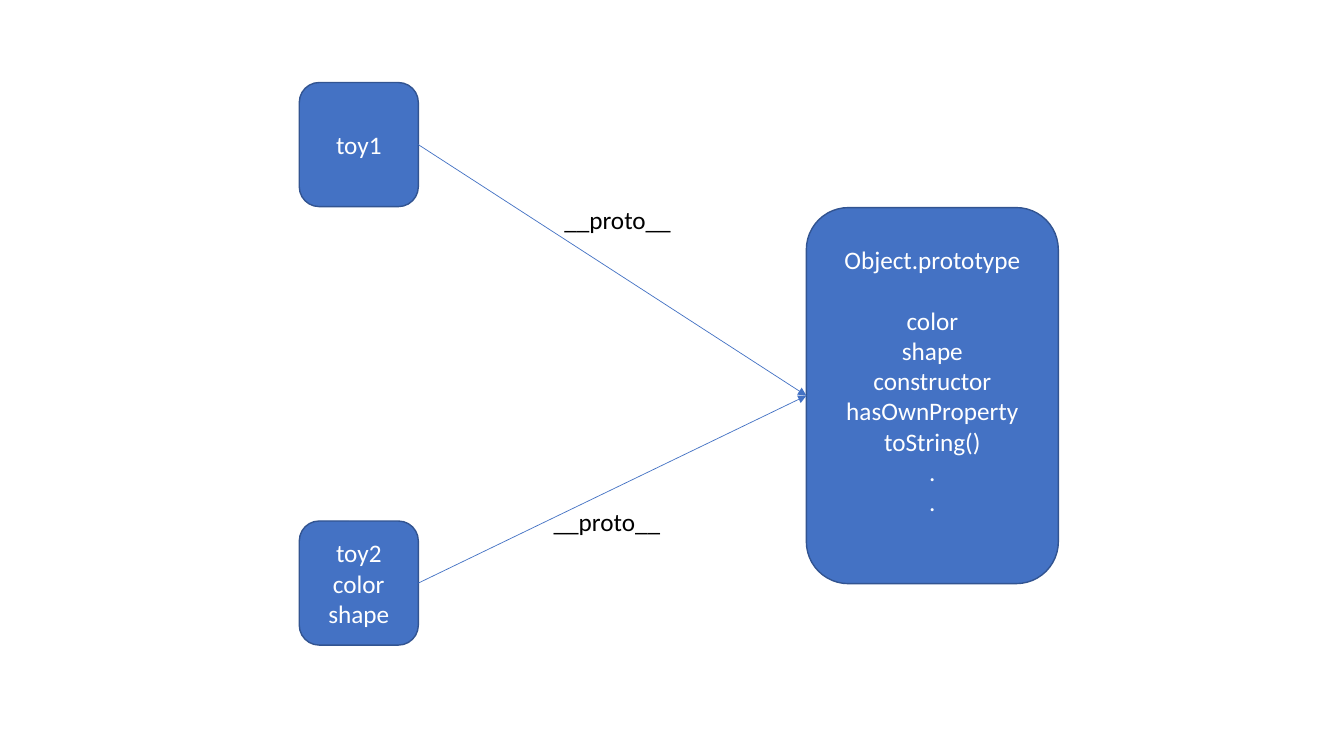
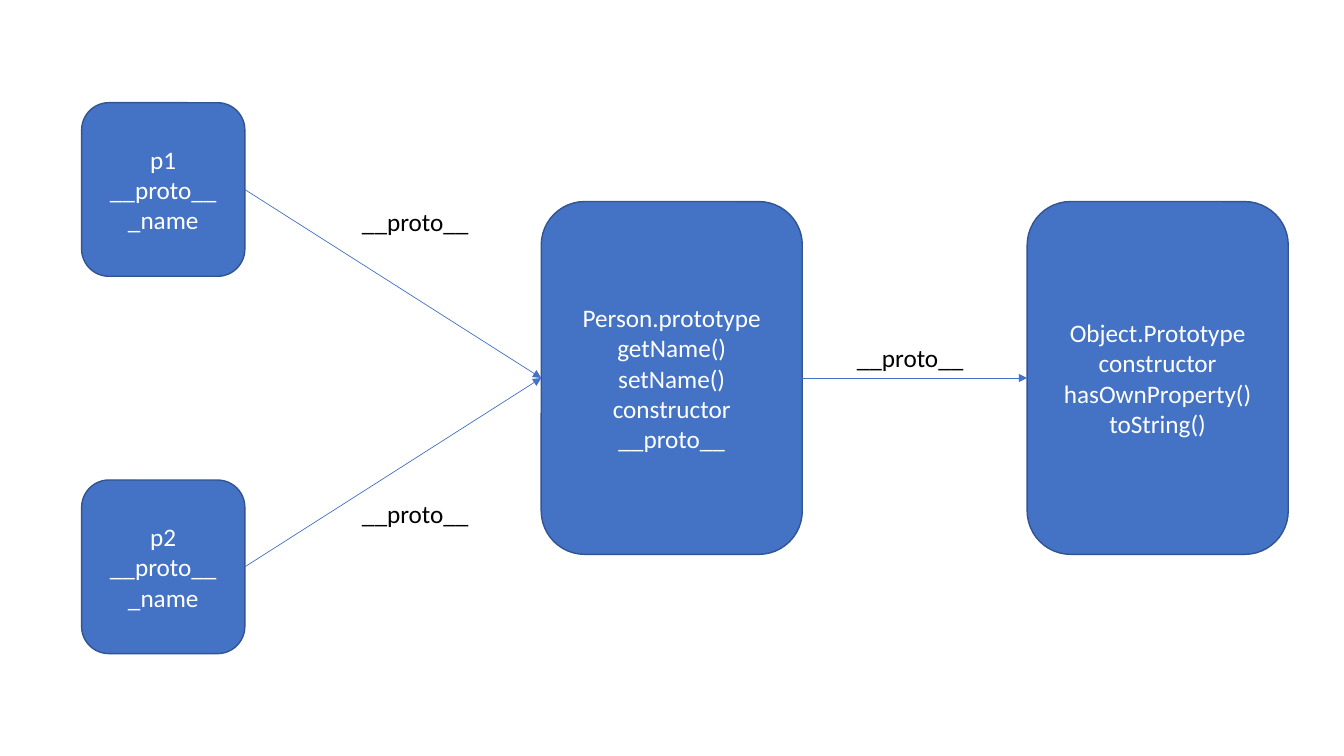
from lxml.etree import SubElement
from pptx import Presentation
from pptx.dml.color import RGBColor
from pptx.enum.shapes import MSO_CONNECTOR, MSO_SHAPE
from pptx.enum.text import MSO_ANCHOR, MSO_AUTO_SIZE, PP_ALIGN
from pptx.oxml.ns import qn
from pptx.util import Pt

THEME = {
    "fill": RGBColor(0x44, 0x72, 0xC4),
    "edge": RGBColor(0x32, 0x54, 0x91),
    "light": RGBColor(0xFF, 0xFF, 0xFF),
    "dark": RGBColor(0, 0, 0),
    "font": {"name": "Calibri", "size": Pt(18)},
    "edge_width": Pt(1),
    "arrow_width": Pt(0.5),
}
LINE_H = 22
LABEL_H = 28.8
RIGHT, LEFT = 3, 1

SLIDES = [
    {
        "boxes": {
            "object": (576, 148.3, 180, 268.6, ["Object.prototype", "color", "shape", "constructor",
                                                "hasOwnProperty", "toString()", ".", "."]),
            "toy1": (213.8, 59, 85, 88.6, ["toy1"]),
            "toy2": (213.8, 372.2, 85, 88.6, ["toy2", "color", "shape"]),
        },
        "spaced": "object",
        "arrows": [("toy1", "object"), ("toy2", "object")],
        "labels": [(396, 142.6), (388.4, 357.8)],
        "label_width": 91.4,
        "label_frame": {"word_wrap": False},
        "label_align": PP_ALIGN.LEFT,
    },
    {
        "boxes": {
            "person": (386.6, 144, 186.5, 252, ["Person.prototype", "getName()", "setName()",
                                                "constructor", "__proto__"]),
            "object": (733.7, 144, 186.5, 252, ["Object.Prototype", "constructor",
                                                "hasOwnProperty()", "toString()"]),
            "p1": (58.3, 73.4, 116.6, 124, ["p1", "__proto__", "_name"]),
            "p2": (58.3, 342.9, 116.6, 124, ["p2", "__proto__", "_name"]),
        },
        "spaced": None,
        "arrows": [("person", "object"), ("p1", "person"), ("p2", "person")],
        "labels": [(238.3, 144), (591.8, 241.2), (238.3, 352.1)],
        "label_width": 116.6,
        "label_frame": {"word_wrap": True},
        "label_align": PP_ALIGN.CENTER,
    },
]


def write(tf, lines, color, align, frame):
    for key, value in frame.items():
        setattr(tf, key, value)
    for i, line in enumerate(lines):
        p = tf.add_paragraph() if i else tf.paragraphs[0]
        p.alignment = align
        r = p.add_run()
        r.text = line
        for key, value in THEME["font"].items():
            setattr(r.font, key, value)
        r.font.color.rgb = color


prs = Presentation()
prs.slide_width, prs.slide_height = Pt(960), Pt(540)

for data in SLIDES:
    s = prs.slides.add_slide(prs.slide_layouts[6])
    boxes = {}
    for name, (x, y, w, h, lines) in data["boxes"].items():
        sp = s.shapes.add_shape(MSO_SHAPE.ROUNDED_RECTANGLE, Pt(x), Pt(y), Pt(w), Pt(h))
        sp.shadow.inherit = False
        sp.fill.solid()
        sp.fill.fore_color.rgb = THEME["fill"]
        sp.line.color.rgb = THEME["edge"]
        sp.line.width = THEME["edge_width"]
        tf = sp.text_frame
        write(tf, lines, THEME["light"], PP_ALIGN.CENTER,
              {"word_wrap": True, "vertical_anchor": MSO_ANCHOR.MIDDLE})
        if name == data["spaced"]:
            tf.paragraphs[1].space_before = Pt(LINE_H)
            tf.margin_bottom += Pt(LINE_H)
        boxes[name] = sp

    for start, end in data["arrows"]:
        cx = s.shapes.add_connector(MSO_CONNECTOR.STRAIGHT, 0, 0, 0, 0)
        cx.begin_connect(boxes[start], RIGHT)
        cx.end_connect(boxes[end], LEFT)
        cx.line.color.rgb = THEME["fill"]
        cx.line.width = THEME["arrow_width"]
        SubElement(cx.line._get_or_add_ln(), qn("a:tailEnd"), type="triangle")
        SubElement(cx._element.spPr, qn("a:effectLst"))

    for x, y in data["labels"]:
        tb = s.shapes.add_textbox(Pt(x), Pt(y), Pt(data["label_width"]), Pt(LABEL_H))
        write(tb.text_frame, ["__proto__"], THEME["dark"], data["label_align"],
              {"auto_size": MSO_AUTO_SIZE.SHAPE_TO_FIT_TEXT, **data["label_frame"]})

prs.save("out.pptx")
